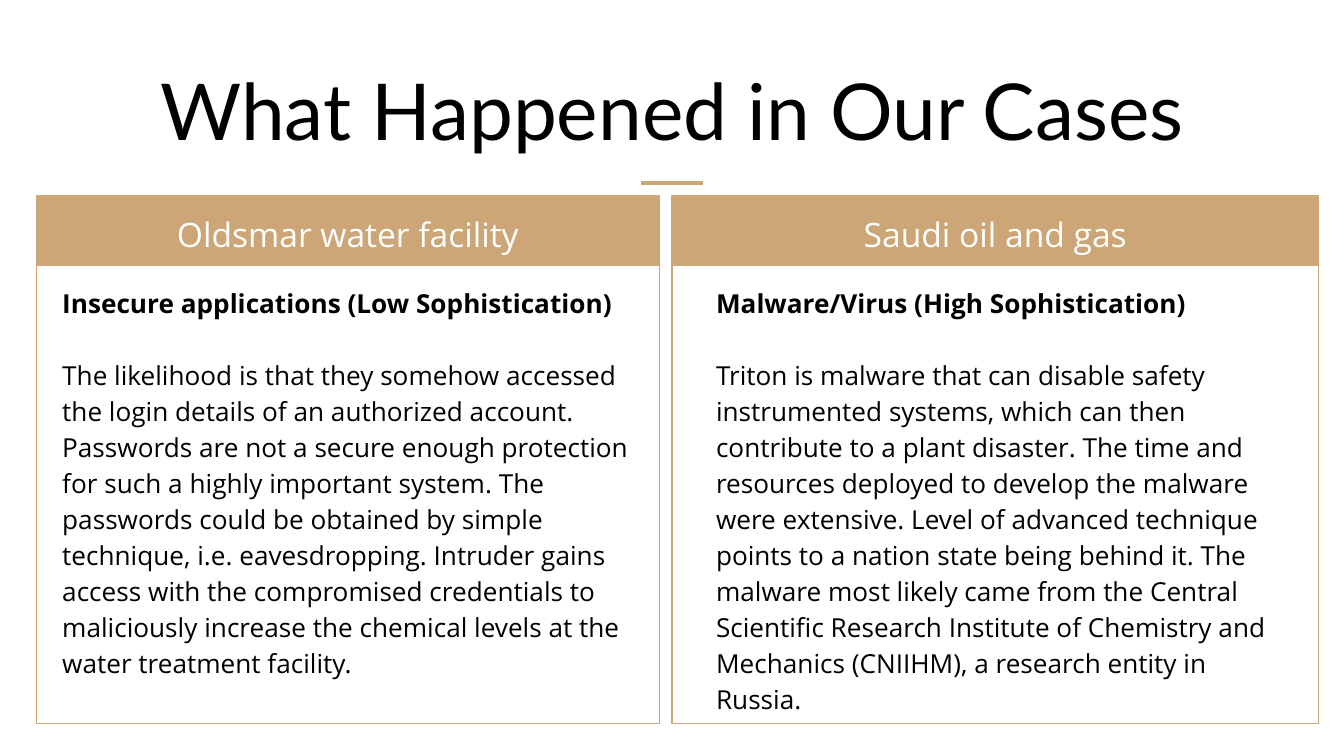
from dataclasses import dataclass

from lxml import etree
from pptx import Presentation
from pptx.dml.color import RGBColor as RGB
from pptx.enum.shapes import MSO_CONNECTOR as CONN, MSO_SHAPE as SHAPE
from pptx.enum.text import MSO_ANCHOR as ANCHOR, PP_ALIGN as ALIGN
from pptx.oxml.ns import qn
from pptx.util import Pt

PX = 9525


@dataclass(frozen=True)
class Theme:
    accent: RGB = RGB(0xCC, 0xA6, 0x77)
    ink: RGB = RGB(0, 0, 0)
    paper: RGB = RGB(0xFF, 0xFF, 0xFF)
    title_font: str = "Lato"
    body_font: str = "Open Sans"
    title_size: int = 42
    header_size: int = 18
    body_size: int = 14
    line_spacing: float = 1.15
    heading_gap: float = 19.3
    inset: float = 7.2


THEME = Theme()


def emu(*lengths):
    return [n * PX for n in lengths]


def setup_frame(tf, anchor):
    tf.word_wrap = True
    tf.vertical_anchor = anchor
    inset = Pt(THEME.inset)
    tf.margin_left = tf.margin_right = tf.margin_top = tf.margin_bottom = inset


def add_run(p, text, font, size, color, bold=False):
    r = p.add_run()
    r.text = text
    r.font.name = font
    r.font.size = Pt(size)
    r.font.color.rgb = color
    r.font.bold = bold


def add_rect(slide, x, y, w, h):
    sp = slide.shapes.add_shape(SHAPE.RECTANGLE, *emu(x, y, w, h))
    sp.shadow.inherit = False
    return sp


def add_title(slide, x, y, w, h, text):
    tf = slide.shapes.add_textbox(*emu(x, y, w, h)).text_frame
    setup_frame(tf, ANCHOR.BOTTOM)
    p = tf.paragraphs[0]
    p.alignment = ALIGN.CENTER
    add_run(p, text, THEME.title_font, THEME.title_size, THEME.ink)

    rule_y = y + h + 10
    middle = x + w // 2
    rule = slide.shapes.add_connector(
        CONN.STRAIGHT, *emu(middle - 22, rule_y, middle + 22, rule_y))
    rule.line.color.rgb = THEME.accent
    rule.line.width = Pt(2.25)
    etree.SubElement(rule._element.spPr, qn("a:effectLst"))


def add_panel(slide, x, y, w, h, indent, header, heading, paragraphs):
    frame = add_rect(slide, x, y, w, h)
    frame.fill.background()
    frame.line.color.rgb = THEME.accent
    frame.line.width = Pt(0.75)

    bar = add_rect(slide, x, y, w, 50)
    bar.fill.solid()
    bar.fill.fore_color.rgb = THEME.accent
    bar.line.fill.background()
    setup_frame(bar.text_frame, ANCHOR.MIDDLE)
    p = bar.text_frame.paragraphs[0]
    p.alignment = ALIGN.CENTER
    p.line_spacing = THEME.line_spacing
    add_run(p, header, THEME.body_font, THEME.header_size, THEME.paper)

    body = slide.shapes.add_textbox(*emu(x + indent, y + 52, 429, h - 52))
    tf = body.text_frame
    setup_frame(tf, ANCHOR.TOP)
    for i, text in enumerate([heading, *paragraphs]):
        p = tf.add_paragraph() if i else tf.paragraphs[0]
        p.line_spacing = THEME.line_spacing
        p.space_after = Pt(0 if i else THEME.heading_gap)
        add_run(p, text, THEME.body_font, THEME.body_size, THEME.ink, bold=i == 0)


def main():
    prs = Presentation()
    prs.slide_width, prs.slide_height = emu(960, 540)
    slide = prs.slides.add_slide(prs.slide_layouts[6])

    add_title(slide, 33, 34, 894, 87, "What Happened in Our Cases")
    add_panel(
        slide, 26, 140, 445, 377, 9, "Oldsmar water facility",
        "Insecure applications (Low Sophistication)",
        ["The likelihood is that they somehow accessed the login details of an "
         "authorized account.",
         "Passwords are not a secure enough protection for such a highly "
         "important system. The passwords could be obtained by simple "
         "technique, i.e. eavesdropping. Intruder gains access with the "
         "compromised credentials to maliciously increase the chemical levels "
         "at the water treatment facility."])
    add_panel(
        slide, 480, 140, 462, 377, 22, "Saudi oil and gas",
        "Malware/Virus (High Sophistication)",
        ["Triton is malware that can disable safety instrumented systems, "
         "which can then contribute to a plant disaster. The time and "
         "resources deployed to develop the malware were extensive. Level of "
         "advanced technique points to a nation state being behind it. The "
         "malware most likely came from the Central Scientific Research "
         "Institute of Chemistry and Mechanics (CNIIHM), a research entity in "
         "Russia."])
    prs.save("out.pptx")


if __name__ == "__main__":
    main()
